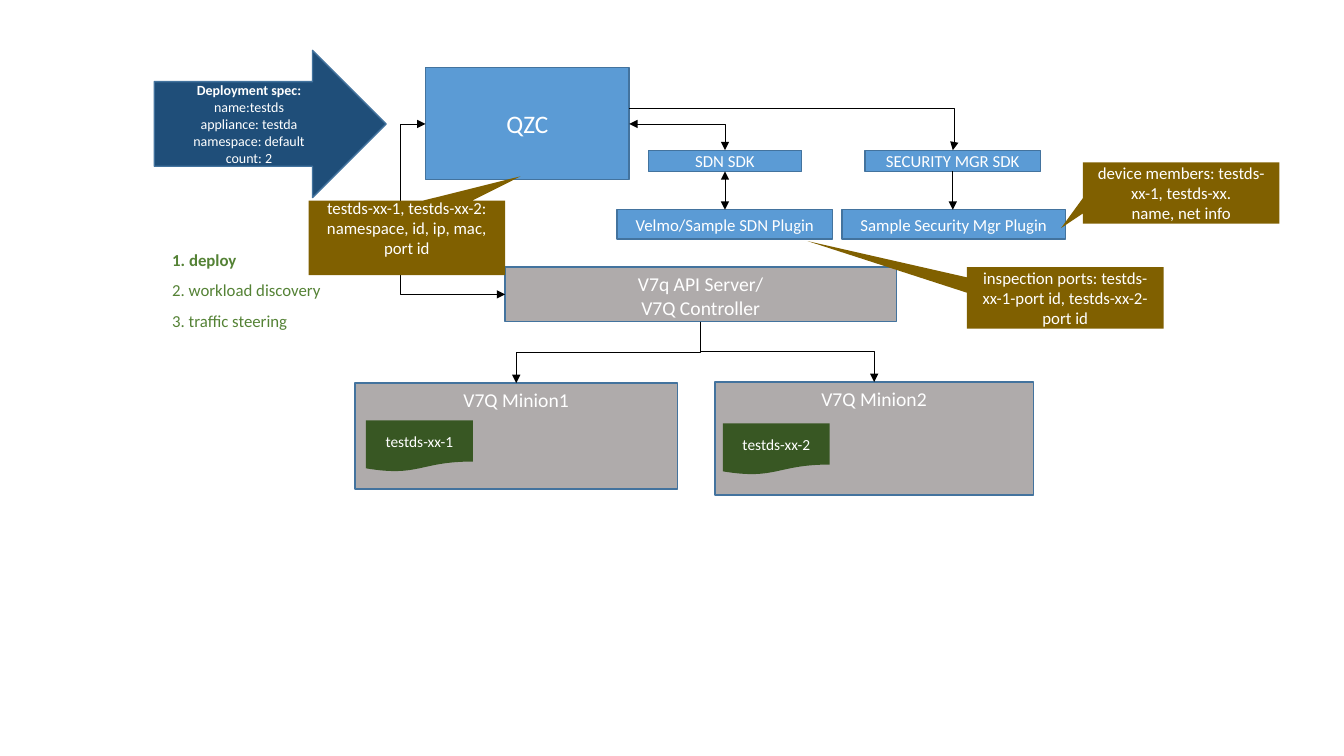
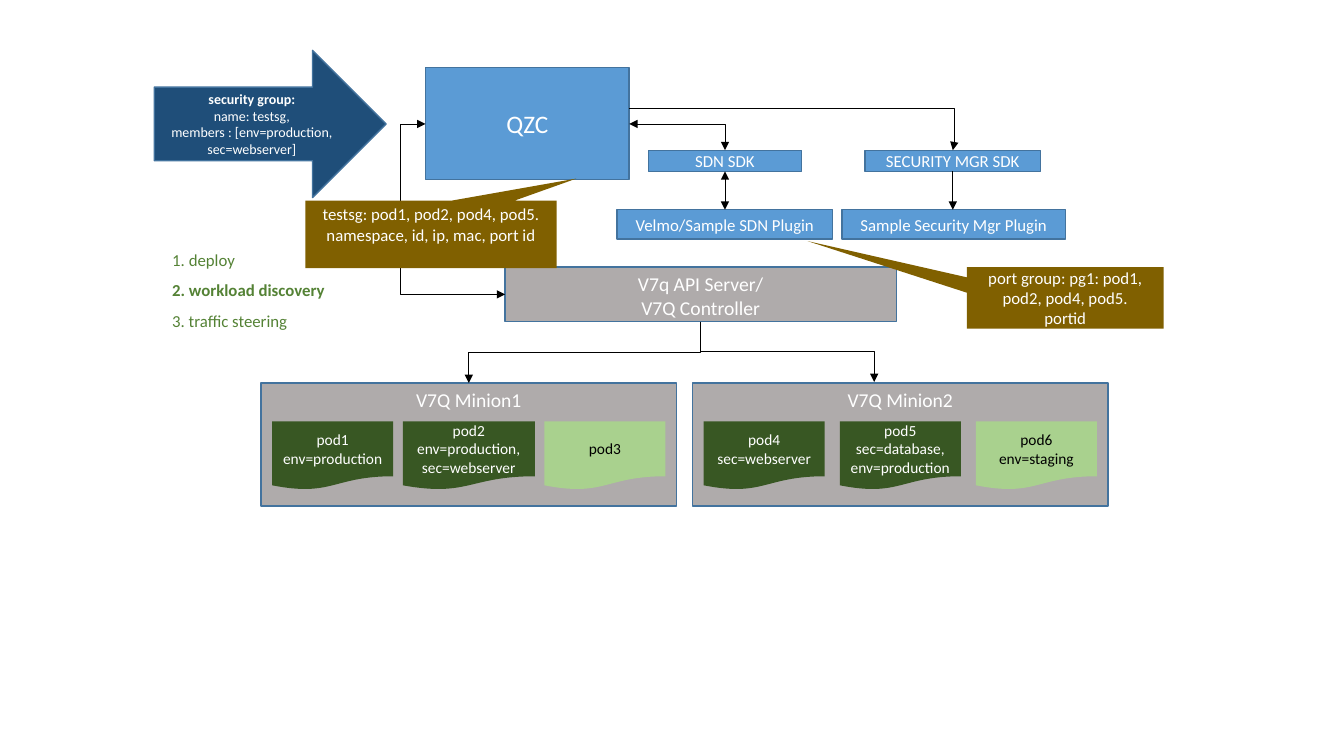
"""Build two slides that show how a security controller deploys and discovers workloads."""
from dataclasses import dataclass

from lxml.etree import SubElement
from pptx import Presentation
from pptx.dml.color import RGBColor
from pptx.enum.shapes import MSO_CONNECTOR, MSO_SHAPE
from pptx.enum.text import MSO_ANCHOR, MSO_AUTO_SIZE, PP_ALIGN
from pptx.oxml.ns import qn
from pptx.util import Inches, Pt

FONT = "Calibri"
WHITE = RGBColor(0xFF, 0xFF, 0xFF)
BLACK = RGBColor(0x00, 0x00, 0x00)
BLUE = RGBColor(0x5B, 0x9B, 0xD5)
NAVY = RGBColor(0x1F, 0x4E, 0x79)
EDGE = RGBColor(0x43, 0x73, 0x9E)
GRAY = RGBColor(0xAF, 0xAB, 0xAB)
BROWN = RGBColor(0x80, 0x60, 0x00)
STEP_GREEN = RGBColor(0x54, 0x82, 0x35)
DARK_GREEN = RGBColor(0x38, 0x57, 0x23)
LIGHT_GREEN = RGBColor(0xA9, 0xD1, 0x8E)

POD_PITCH = 1.35
STEP_TOP = 2.43
STEP_HEIGHT = 0.3
TRUNK = (6.95, 3.19)


@dataclass(frozen=True)
class Node:
    """A filled shape with text; the box is left, top, width and height in inches."""

    text: str
    box: tuple[float, float, float, float]
    fill: RGBColor = BLUE
    size: float = 12
    kind: MSO_SHAPE = MSO_SHAPE.RECTANGLE
    color: RGBColor = WHITE
    edge: RGBColor | None = EDGE
    anchor: MSO_ANCHOR = MSO_ANCHOR.MIDDLE
    adjustments: tuple[float, ...] = ()
    bold_lead: bool = False
    bottom_inset: float = 0.05


@dataclass(frozen=True)
class Link:
    """An elbow connector between two points in inches."""

    start: tuple[float, float]
    end: tuple[float, float]
    bend: float = 0.5
    both_ends: bool = False
    vertical: bool = False
    single_corner: bool = False


@dataclass(frozen=True)
class Diagram:
    """The parts that differ from slide to slide."""

    request: Node
    active_step: int
    minions: tuple[Node, ...]
    pods: tuple[Node, ...]
    callouts: tuple[Node, ...]
    branch_ends: tuple[tuple[float, float], ...]


def minion(text: str, *box: float) -> Node:
    """Describe a cluster machine."""
    return Node(text, box, GRAY, 14, anchor=MSO_ANCHOR.TOP)


def pod(text: str, *box: float, active: bool = True) -> Node:
    """Describe a workload document, dark when it is selected."""
    fill, color = (DARK_GREEN, WHITE) if active else (LIGHT_GREEN, BLACK)
    return Node(text, box, fill, 11, MSO_SHAPE.FLOWCHART_DOCUMENT, color, None)


def callout(text: str, box: tuple[float, float, float, float],
            pointer: tuple[float, float], bottom_inset: float = 0.05) -> Node:
    """Describe a brown callout with its pointer tip."""
    return Node(text, box, BROWN, kind=MSO_SHAPE.RECTANGULAR_CALLOUT, edge=None,
                adjustments=pointer, bottom_inset=bottom_inset)


def request(text: str, shaft: float) -> Node:
    """Describe the arrow that enters the controller."""
    return Node(text, (1.53, 0.5, 2.3, 1.46), NAVY, 10, MSO_SHAPE.RIGHT_ARROW,
                adjustments=(shaft, 0.5), bold_lead=True)


def port_callout(text: str) -> Node:
    """Describe the callout of the network plugin."""
    return callout(text, (9.59, 2.65, 1.95, 0.61), (-1.311, -0.924))


def pod_row(minion_left: float, labels: tuple[str, str, str], middle_width: float) -> tuple[Node, ...]:
    """Space three pods evenly in a minion; the last one is not selected."""
    row = []
    for index, label in enumerate(labels):
        width = middle_width if index == 1 else 1.2
        left = minion_left + 0.11 + POD_PITCH * index - (width - 1.2) / 2
        row.append(pod(label, left, 4.18, width, 0.68, active=index < 2))
    return tuple(row)


COMPONENTS = (
    Node("V7q API Server/\nV7Q Controller", (5.01, 2.65, 3.88, 0.54), GRAY, 14,
         anchor=MSO_ANCHOR.TOP),
    Node("QZC", (4.22, 0.67, 2.02, 1.11), size=18),
    Node("SDN SDK", (6.43, 1.49, 1.52, 0.21)),
    Node("Velmo/Sample SDN Plugin", (6.12, 2.08, 2.14, 0.29)),
    Node("SECURITY MGR SDK", (8.58, 1.49, 1.74, 0.21)),
    Node("Sample Security Mgr Plugin", (8.35, 2.08, 2.22, 0.29)),
)
LINKS = (
    Link((4.22, 1.23), (5.01, 2.92), bend=-0.317, both_ends=True),
    Link((6.24, 1.23), (7.19, 1.49), both_ends=True, single_corner=True),
    Link((9.45, 1.7), (9.45, 2.08), vertical=True),
    Link((6.24, 1.07), (9.45, 1.49), bend=1.004),
    Link((7.19, 1.7), (7.19, 2.08), both_ends=True, vertical=True),
)
STEPS = (("1. deploy", 0.85), ("2. workload discovery", 1.8), ("3. traffic steering", 1.36))
DIAGRAMS = (
    Diagram(
        request=request("Deployment spec:\nname:testds\nappliance: testda\n"
                        "namespace: default\ncount: 2", 0.575),
        active_step=0,
        minions=(minion("V7Q Minion1", 3.52, 3.8, 3.2, 1.05),
                 minion("V7Q Minion2", 7.09, 3.79, 3.16, 1.12)),
        pods=(pod("testds-xx-1", 3.63, 4.17, 1.06, 0.51),
              pod("testds-xx-2", 7.17, 4.2, 1.06, 0.51)),
        callouts=(
            callout("testds-xx-1, testds-xx-2: namespace, id, ip, mac, port id",
                    (3.06, 1.99, 1.95, 0.74), (0.579, -0.826), 0.25),
            port_callout("inspection ports: testds-xx-1-port id, testds-xx-2-port id"),
            callout("device members: testds-xx-1, testds-xx.\nname, net info",
                    (10.74, 1.61, 1.95, 0.61), (-0.611, 0.57)),
        ),
        branch_ends=((5.12, 3.8), (8.67, 3.79)),
    ),
    Diagram(
        request=request("security group:\nname: testsg,\n"
                        "members : [env=production, sec=webserver]", 0.5),
        active_step=1,
        minions=(minion("V7Q Minion1", 2.59, 3.8, 4.12, 1.22),
                 minion("V7Q Minion2", 6.87, 3.8, 4.12, 1.22)),
        pods=pod_row(2.59, ("pod1\nenv=production", "pod2\nenv=production,\nsec=webserver",
                            "pod3"), 1.31)
        + pod_row(6.87, ("pod4\nsec=webserver", "pod5\nsec=database,\nenv=production",
                         "pod6\nenv=staging"), 1.2),
        callouts=(
            callout("testsg: pod1, pod2, pod4, pod5.\nnamespace, id, ip, mac, port id",
                    (3.03, 1.99, 2.49, 0.67), (0.579, -0.826), 0.25),
            port_callout("port group: pg1: pod1, pod2, pod4, pod5.\nportid"),
        ),
        branch_ends=((4.65, 3.8), (8.67, 3.79)),
    ),
)


def write_text(text_frame, text: str, *, size: float, color: RGBColor,
               align: PP_ALIGN = PP_ALIGN.CENTER, bold: bool = False,
               bold_lead: bool = False) -> None:
    """Write one paragraph for each line of text."""
    for index, line in enumerate(text.split("\n")):
        paragraph = text_frame.paragraphs[0] if index == 0 else text_frame.add_paragraph()
        paragraph.alignment = align
        run = paragraph.add_run()
        run.text = line
        run.font.name = FONT
        run.font.size = Pt(size)
        run.font.color.rgb = color
        run.font.bold = bold or (bold_lead and index == 0)


def draw_node(slide, node: Node) -> None:
    """Draw a filled shape with its text."""
    shape = slide.shapes.add_shape(node.kind, *map(Inches, node.box))
    shape.shadow.inherit = False
    for index, value in enumerate(node.adjustments):
        shape.adjustments[index] = value
    shape.fill.solid()
    shape.fill.fore_color.rgb = node.fill
    if node.edge is None:
        shape.line.fill.background()
    else:
        shape.line.color.rgb = node.edge
        shape.line.width = Pt(1)
    text_frame = shape.text_frame
    text_frame.word_wrap = True
    text_frame.vertical_anchor = node.anchor
    text_frame.margin_bottom = Inches(node.bottom_inset)
    write_text(text_frame, node.text, size=node.size, color=node.color,
               bold_lead=node.bold_lead)


def draw_link(slide, link: Link) -> None:
    """Draw an elbow connector, turned a quarter when it leaves vertically."""
    (start_x, start_y), (end_x, end_y) = link.start, link.end
    rotation = 0
    if link.vertical:
        middle_x, middle_y = (start_x + end_x) / 2, (start_y + end_y) / 2
        half_width, half_height = abs(end_x - start_x) / 2, (end_y - start_y) / 2
        rotation = 270 if end_x > start_x else 90
        reach = -half_height if rotation == 270 else half_height
        start_x, end_x = middle_x - reach, middle_x + reach
        start_y, end_y = middle_y - half_width, middle_y + half_width
    connector = slide.shapes.add_connector(
        MSO_CONNECTOR.ELBOW, *map(Inches, (start_x, start_y, end_x, end_y)))
    connector.line.color.rgb = BLACK
    connector.line.width = Pt(0.5)
    properties = connector._element.spPr
    if rotation:
        properties.find(qn("a:xfrm")).set("rot", str(rotation * 60000))
    geometry = properties.find(qn("a:prstGeom"))
    if link.single_corner:
        geometry.set("prst", "bentConnector2")
    else:
        SubElement(geometry.find(qn("a:avLst")), qn("a:gd"), name="adj1",
                   fmla=f"val {round(link.bend * 100000)}")
    line = properties.find(qn("a:ln"))
    for end in ("a:headEnd", "a:tailEnd") if link.both_ends else ("a:tailEnd",):
        SubElement(line, qn(end), type="triangle")
    SubElement(properties, qn("a:effectLst"))


def draw_steps(slide, active_step: int) -> None:
    """List the steps, with the active one in bold."""
    for index, (label, width) in enumerate(STEPS):
        top = STEP_TOP + STEP_HEIGHT * index
        box = slide.shapes.add_textbox(*map(Inches, (1.61, top, width, STEP_HEIGHT)))
        box.text_frame.word_wrap = False
        box.text_frame.auto_size = MSO_AUTO_SIZE.SHAPE_TO_FIT_TEXT
        write_text(box.text_frame, label, size=12, color=STEP_GREEN,
                   align=PP_ALIGN.LEFT, bold=index == active_step)


def build_slide(presentation, diagram: Diagram) -> None:
    """Add a slide with the shared components and its own parts."""
    slide = presentation.slides.add_slide(presentation.slide_layouts[6])
    for node in COMPONENTS + diagram.minions:
        draw_node(slide, node)
    branches = tuple(Link(TRUNK, end, vertical=True) for end in diagram.branch_ends)
    for link in branches + LINKS:
        draw_link(slide, link)
    draw_steps(slide, diagram.active_step)
    for node in (diagram.request, *diagram.callouts, *diagram.pods):
        draw_node(slide, node)


def main() -> None:
    """Build and save the presentation."""
    presentation = Presentation()
    presentation.slide_width = Inches(13.33)
    presentation.slide_height = Inches(7.5)
    for diagram in DIAGRAMS:
        build_slide(presentation, diagram)
    presentation.save("out.pptx")


main()
